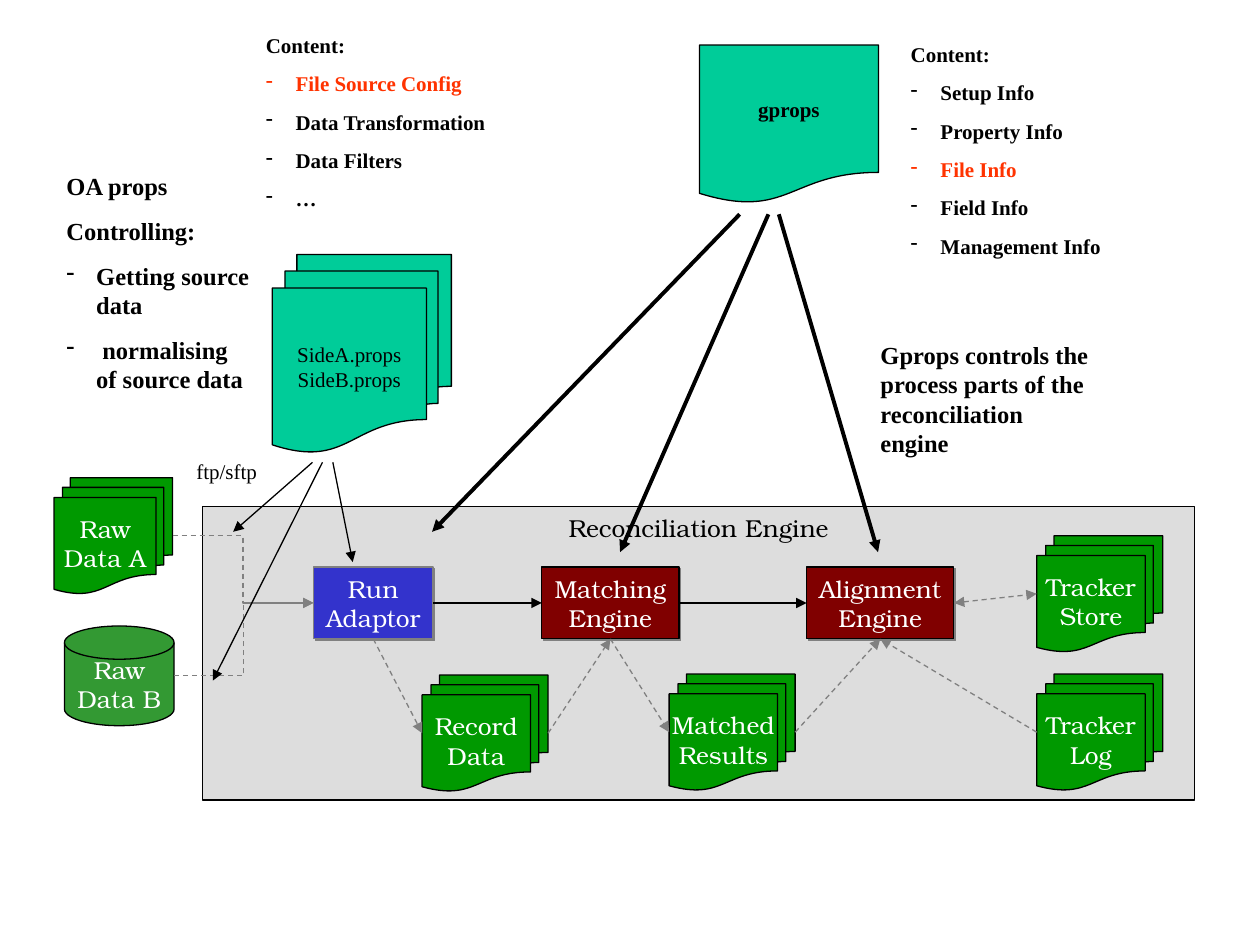
import lxml.etree
import pptx
import pptx.dml.color
import pptx.enum.dml
import pptx.enum.shapes
import pptx.enum.text
import pptx.oxml.ns
import pptx.util

Cm, Pt = pptx.util.Cm, pptx.util.Pt
SHAPE = pptx.enum.shapes.MSO_SHAPE
CONNECTOR = pptx.enum.shapes.MSO_CONNECTOR
ALIGN = pptx.enum.text.PP_ALIGN
ANCHOR = pptx.enum.text.MSO_ANCHOR

BLACK, WHITE, GREY, RED = "000000", "FFFFFF", "808080", "FF3300"
GREEN, TEAL, MAROON = "009900", "00CC99", "800000"
SERIF, BOOKMAN = "Times New Roman", "TeX Gyre Bonum"
STACK, BOX = SHAPE.FLOWCHART_MULTIDOCUMENT, SHAPE.RECTANGLE

ENGINE_FONT = {"name": BOOKMAN, "size": Pt(14), "bold": False}
PROPS_FONT = {"name": SERIF, "size": Pt(12), "bold": False}
CONTENT_FONT = {**PROPS_FONT, "bold": True}
REMARK_FONT = {**CONTENT_FONT, "size": Pt(14)}

# name: (preset, (left, top, width, height) in cm, fill, lines of text)
NODES = {
    "adaptor": (BOX, (6.32, 11.43, 2.41, 1.45), "3333CC", ["Run", "Adaptor"]),
    "matching": (BOX, (10.92, 11.43, 2.77, 1.45), MAROON, ["Matching", "Engine"]),
    "alignment": (BOX, (16.26, 11.43, 2.97, 1.45), MAROON, ["Alignment", "Engine"]),
    "store": (STACK, (20.9, 10.8, 2.54, 2.34), GREEN, ["Tracker", "Store"]),
    "matched": (STACK, (13.49, 13.59, 2.54, 2.34), GREEN, ["Matched", "Results"]),
    "record": (STACK, (8.51, 13.61, 2.54, 2.34), GREEN, ["Record", "Data"]),
    "log": (STACK, (20.9, 13.59, 2.54, 2.34), GREEN, ["Tracker", "Log"]),
    "raw_a": (STACK, (1.09, 9.63, 2.39, 2.34), GREEN, ["Raw", "Data A"]),
    "raw_b": (SHAPE.FLOWCHART_MAGNETIC_DISK, (1.3, 12.62, 2.21, 2.01), "339933",
              ["Raw", "Data B"]),
}

# (from node, side, to node, side, colour, arrow at both ends)
FLOWS = [
    ("adaptor", "right", "matching", "left", BLACK, False),
    ("matching", "right", "alignment", "left", BLACK, False),
    ("raw_a", "right", "adaptor", "left", GREY, False),
    ("raw_b", "right", "adaptor", "left", GREY, False),
    ("adaptor", "bottom", "record", "left", GREY, False),
    ("record", "right", "matching", "bottom", GREY, False),
    ("matching", "bottom", "matched", "left", GREY, False),
    ("matched", "right", "alignment", "bottom", GREY, False),
    ("alignment", "right", "store", "left", GREY, True),
    ("log", "left", "alignment", "bottom", GREY, False),
]

# (line width, y of the starts, [(start x, end x, end y)])
CONTROLS = [
    (2.25, 4.32, [(14.91, 8.71, 10.72), (15.49, 12.5, 11.13), (15.7, 17.7, 11.13)]),
    (0.75, 9.32, [(6.3, 4.7, 10.72), (6.5, 4.29, 13.72), (6.71, 7.11, 11.33)]),
]

# ((left, top, width, height), font, plain lines, bulleted lines, red line)
REMARKS = [
    ((17.5, 6.73, 4.8, 2.64), REMARK_FONT,
     ["Gprops controls the process parts of the reconciliation engine"], [], None),
    ((1.09, 3.33, 4.19, 5.64), REMARK_FONT, ["OA props", "Controlling:"],
     ["Getting source data", " normalising of source data"], None),
    ((3.71, 9.12, 2.01, 0.76), PROPS_FONT, ["ftp/sftp"], [], None),
    ((18.11, 0.71, 7.29, 4.62), CONTENT_FONT, ["Content:"],
     ["Setup Info", "Property Info", "File Info", "Field Info", "Management Info"],
     "File Info"),
    ((5.11, 0.53, 5.0, 4.62), CONTENT_FONT, ["Content:"],
     ["File Source Config", "Data Transformation", "Data Filters", "…"],
     "File Source Config"),
]


def rgb(value):
    return pptx.dml.color.RGBColor.from_string(value)


def add_xml(parent, tag, **attributes):
    return lxml.etree.SubElement(parent, pptx.oxml.ns.qn(tag), attributes)


def write(paragraph, text, font, color):
    paragraph.text = text
    for run in paragraph.runs:
        for attribute, value in font.items():
            setattr(run.font, attribute, value)
        run.font.color.rgb = rgb(color)


def add_block(shapes, preset, box, fill, lines, font, color, outline=BLACK,
              anchor=ANCHOR.MIDDLE, wrap=False):
    block = shapes.add_shape(preset, *map(Cm, box))
    block.shadow.inherit = False
    block.fill.solid()
    block.fill.fore_color.rgb = rgb(fill)
    block.line.color.rgb = rgb(outline)
    block.line.width = Pt(0.75)
    frame = block.text_frame
    frame.word_wrap, frame.vertical_anchor = wrap, anchor
    for index, line in enumerate(lines):
        paragraph = frame.add_paragraph() if index else frame.paragraphs[0]
        paragraph.alignment = ALIGN.CENTER
        write(paragraph, line, font, color)
    return block


def add_hard_shadow(block):
    effects = block._element.spPr.find(pptx.oxml.ns.qn("a:effectLst"))
    shadow = add_xml(effects, "a:outerShdw", dist=str(Pt(1.4)), dir="2700000",
                     algn="ctr", rotWithShape="0")
    add_xml(shadow, "a:srgbClr", val=GREY)


def add_arrow(shapes, start, end, color, width=0.75, elbow=False, both=False):
    kind = CONNECTOR.ELBOW if elbow else CONNECTOR.STRAIGHT
    arrow = shapes.add_connector(kind, *map(Cm, (*start, *end)))
    arrow.line.color.rgb = rgb(color)
    arrow.line.width = Pt(width)
    if color == GREY:
        arrow.line.dash_style = pptx.enum.dml.MSO_LINE.DASH
    outline = arrow.line._get_or_add_ln()
    for tag in ["a:headEnd", "a:tailEnd"] if both else ["a:tailEnd"]:
        add_xml(outline, tag, type="triangle")
    add_xml(arrow._element.spPr, "a:effectLst")


def side_point(node, side):
    left, top, width, height = NODES[node][1]
    across, down = {"left": (0, 0.5), "right": (1, 0.5), "bottom": (0.5, 1)}[side]
    return left + across * width, top + down * height


def add_remark(shapes, box, font, plain, bulleted, red_line):
    frame = shapes.add_textbox(*map(Cm, box)).text_frame
    frame.word_wrap = True
    for index, line in enumerate(plain + bulleted):
        paragraph = frame.add_paragraph() if index else frame.paragraphs[0]
        color = RED if line == red_line else BLACK
        write(paragraph, line, font, color)
        paragraph.space_before = Pt(font["size"].pt * 0.625)
        if index >= len(plain):
            properties = paragraph._p.get_or_add_pPr()
            properties.set("marL", str(Cm(0.6)))
            properties.set("indent", str(-Cm(0.6)))
            add_xml(add_xml(properties, "a:buClr"), "a:srgbClr", val=color)
            add_xml(properties, "a:buChar", char="-")


def main():
    deck = pptx.Presentation()
    deck.slide_width, deck.slide_height = Cm(25.4), Cm(19.05)
    shapes = deck.slides.add_slide(deck.slide_layouts[6]).shapes

    add_block(shapes, BOX, (4.09, 10.21, 19.99, 5.92), "DDDDDD",
              ["Reconciliation Engine"], ENGINE_FONT, BLACK,
              anchor=ANCHOR.TOP, wrap=True)
    for name, (preset, box, fill, lines) in NODES.items():
        outline = GREY if name == "adaptor" else BLACK
        block = add_block(shapes, preset, box, fill, lines, ENGINE_FONT, WHITE, outline)
        if preset == BOX:
            add_hard_shadow(block)
    for source, out_side, target, in_side, color, both in FLOWS:
        add_arrow(shapes, side_point(source, out_side), side_point(target, in_side),
                  color, elbow=source.startswith("raw"), both=both)

    add_block(shapes, STACK, (5.49, 5.13, 3.61, 3.99), TEAL,
              ["SideA.props\vSideB.props"], PROPS_FONT, BLACK)
    add_block(shapes, SHAPE.FLOWCHART_DOCUMENT, (14.1, 0.91, 3.61, 3.2), TEAL,
              ["gprops"], CONTENT_FONT, BLACK)
    for width, start_y, ends in CONTROLS:
        for start_x, end_x, end_y in ends:
            add_arrow(shapes, (start_x, start_y), (end_x, end_y), BLACK, width)
    for remark in REMARKS:
        add_remark(shapes, *remark)
    deck.save("out.pptx")


if __name__ == "__main__":
    main()
